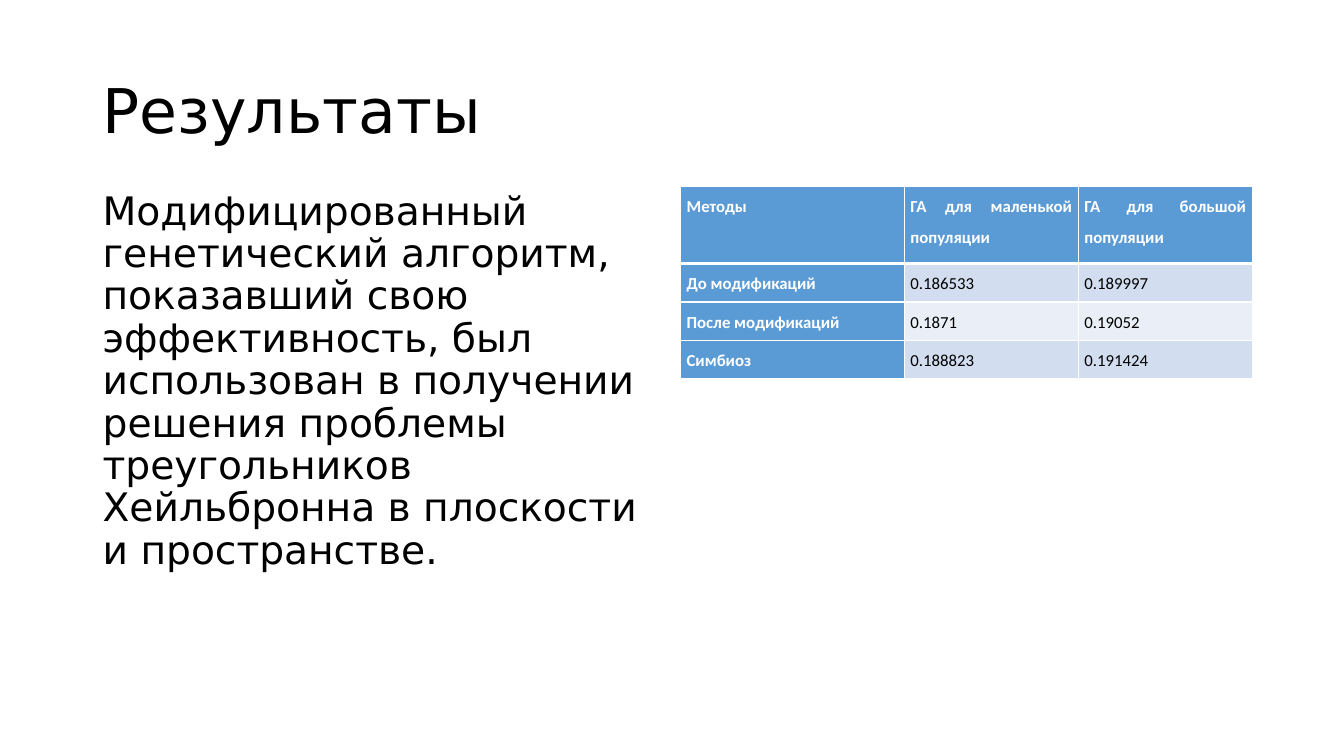
from dataclasses import dataclass

from lxml import etree
from pptx import Presentation
from pptx import util as u
from pptx.dml.color import RGBColor
from pptx.enum import text
from pptx.oxml import ns


@dataclass(frozen=True)
class Theme:
    """Colours, fonts and type sizes of the slide."""
    ink: str = "000000"
    paper: str = "FFFFFF"
    accent: str = "5B9BD5"
    bands: tuple = ("D2DEEF", "EAEFF7")
    prose_font: str = "DejaVu Sans"
    table_font: str = "Calibri"
    title_size: int = 44
    body_size: int = 28
    table_size: int = 12
    rule: int = 1
    header_rule: int = 3


THEME = Theme()
TITLE = "Результаты"
SUMMARY = (
    "Модифицированный генетический алгоритм, показавший свою эффективность, "
    "был использован в получении решения проблемы треугольников Хейльбронна "
    "в плоскости и пространстве."
)
RESULTS = [
    ("Методы", "ГА для маленькой популяции", "ГА для большой популяции"),
    ("До модификаций", "0.186533", "0.189997"),
    ("После модификаций", "0.1871", "0.19052"),
    ("Симбиоз", "0.188823", "0.191424"),
]


def style_runs(paragraph, font, size, color, bold=False):
    """Format every run of a paragraph."""
    for run in paragraph.runs:
        run.font.name = font
        run.font.size = u.Pt(size)
        run.font.bold = bold
        run.font.color.rgb = RGBColor.from_string(color)


def add_prose(slide, box, wording, size, anchor, space_before=0):
    """Place a wrapped block of prose in the box."""
    prose = slide.shapes.add_textbox(*map(u.Inches, box)).text_frame
    prose.word_wrap = True
    prose.vertical_anchor = anchor
    prose.text = wording
    paragraph = prose.paragraphs[0]
    paragraph.line_spacing = 0.9
    paragraph.space_before = u.Pt(space_before)
    style_runs(paragraph, THEME.prose_font, size, THEME.ink)


def add_borders(cell, bottom, top):
    """Draw the white rules around a table cell."""
    properties = cell._tc.get_or_add_tcPr()
    widths = {"L": THEME.rule, "R": THEME.rule, "T": top, "B": bottom}
    for side, width in widths.items():
        line = etree.SubElement(properties, ns.qn(f"a:ln{side}"), w=str(u.Pt(width)))
        fill = etree.SubElement(line, ns.qn("a:solidFill"))
        etree.SubElement(fill, ns.qn("a:srgbClr"), val=THEME.paper)


def fill_cell(cell, wording, row, column):
    """Write and style one result cell by its place in the table."""
    heading = row == 0 or column == 0
    cell.margin_left = cell.margin_right = u.Inches(0.06)
    cell.margin_top = cell.margin_bottom = 0
    add_borders(
        cell,
        bottom=THEME.header_rule if row == 0 else THEME.rule,
        top=THEME.header_rule if row == 1 else THEME.rule,
    )
    cell.fill.solid()
    cell.fill.fore_color.rgb = RGBColor.from_string(
        THEME.accent if heading else THEME.bands[(row - 1) % 2]
    )
    cell.text_frame.text = wording
    paragraph = cell.text_frame.paragraphs[0]
    paragraph.alignment = text.PP_ALIGN.JUSTIFY
    paragraph.line_spacing = 1.5
    color = THEME.paper if heading else THEME.ink
    style_runs(paragraph, THEME.table_font, THEME.table_size, color, heading)


def add_results(slide, box):
    """Place the results table in the box, with a double-height header."""
    left, top, width, height = box
    results = slide.shapes.add_table(
        len(RESULTS), len(RESULTS[0]), *map(u.Inches, (left, top, width, height))
    ).table
    method_width = 2.22
    value_width = (width - method_width) / (len(RESULTS[0]) - 1)
    unit_height = height / (len(RESULTS) + 1)
    for index, column in enumerate(results.columns):
        column.width = u.Inches(value_width if index else method_width)
    for index, row in enumerate(results.rows):
        row.height = u.Inches(unit_height if index else 2 * unit_height)
    for row, record in enumerate(RESULTS):
        for column, wording in enumerate(record):
            fill_cell(results.cell(row, column), wording, row, column)


def add_results_slide(deck, box):
    """Build the slide: a title above a summary and a table side by side."""
    slide = deck.slides.add_slide(deck.slide_layouts[6])
    left, top, width, height = box
    title_height, gap = 1.45, 0.16
    half = (width - gap) / 2
    content_top = top + title_height
    add_prose(slide, (left, top, width, title_height), TITLE,
              THEME.title_size, text.MSO_ANCHOR.MIDDLE)
    add_results(slide, (left + half + gap, content_top, half, 1.91))
    add_prose(slide, (left, content_top, half, height - title_height), SUMMARY,
              THEME.body_size, text.MSO_ANCHOR.TOP, space_before=10)


def main():
    """Create and save the deck."""
    deck = Presentation()
    deck.slide_width, deck.slide_height = u.Inches(13.33), u.Inches(7.5)
    add_results_slide(deck, (0.92, 0.4, 11.5, 6.21))
    deck.save("out.pptx")


if __name__ == "__main__":
    main()
